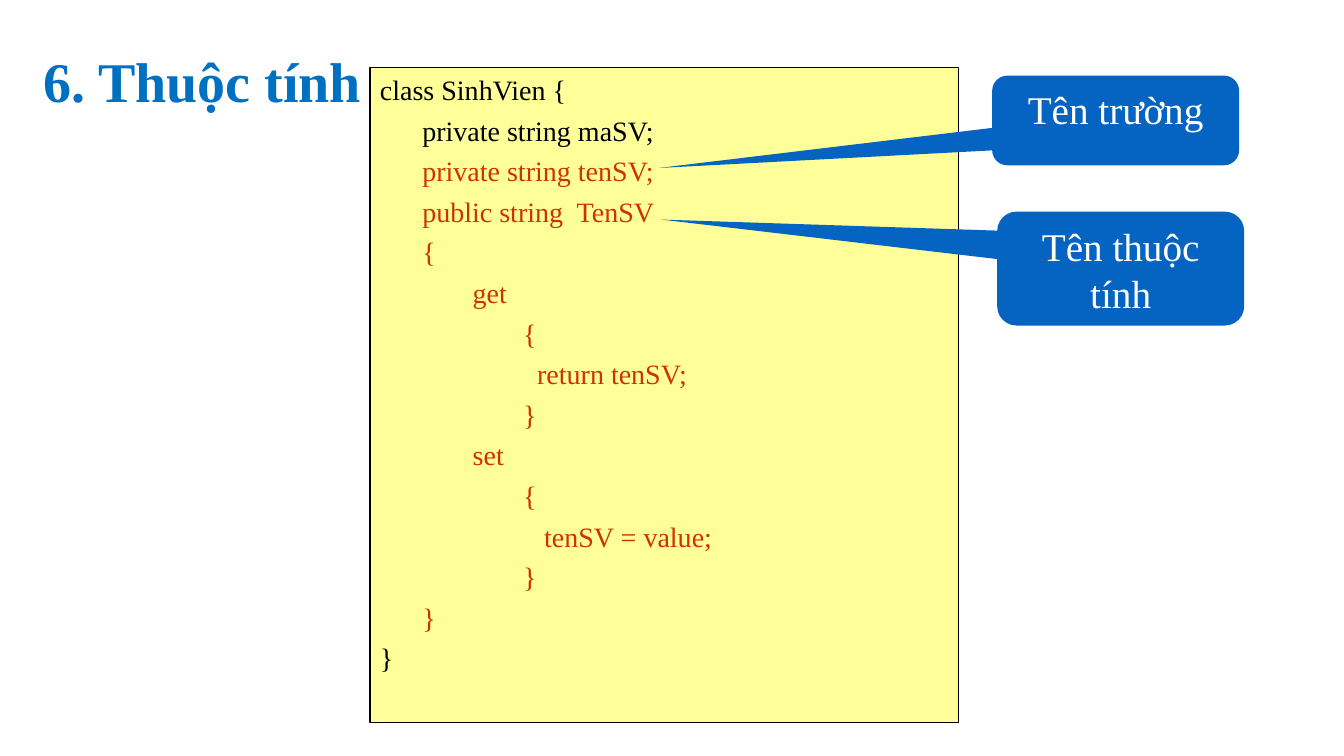
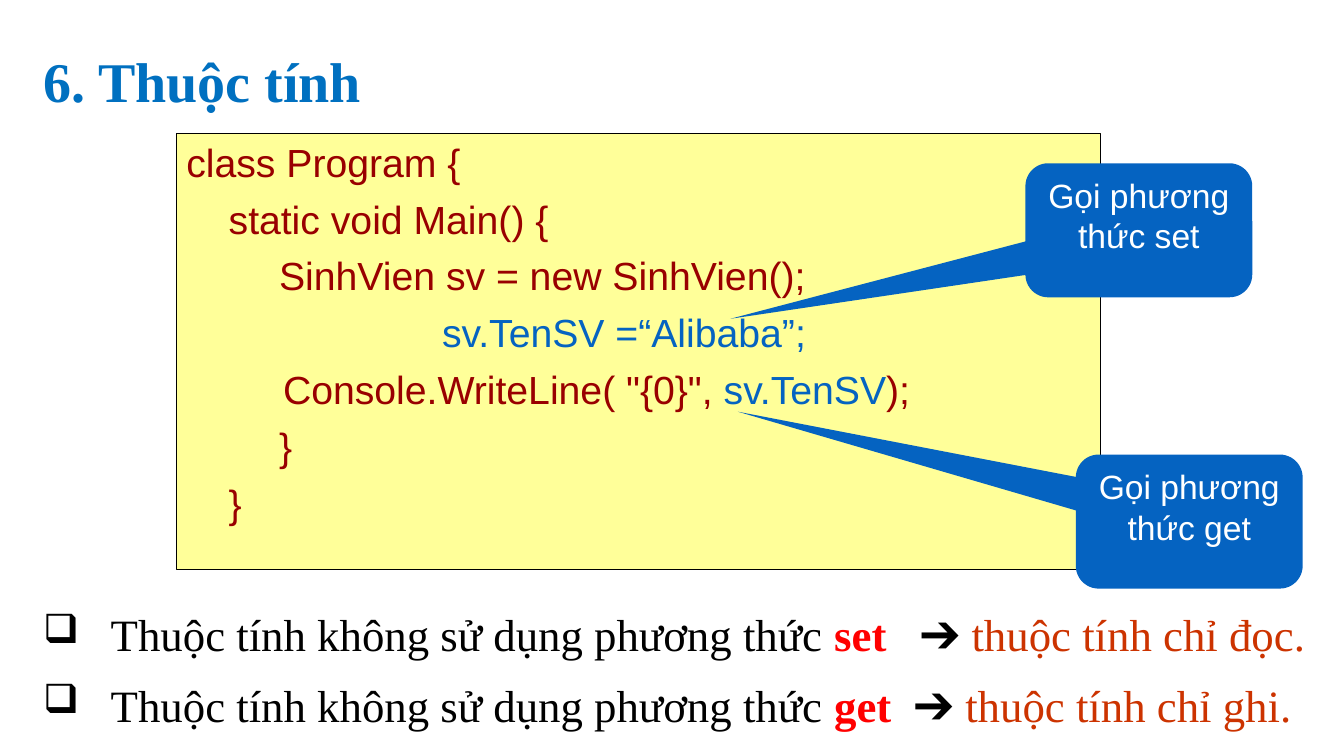
"""Builds two slides on class properties in C#."""
from lxml import etree
from pptx import Presentation
from pptx.dml.color import RGBColor
from pptx.enum.shapes import MSO_SHAPE
from pptx.enum.text import MSO_ANCHOR, PP_ALIGN
from pptx.oxml.ns import qn
from pptx.util import Inches, Pt

RECT = MSO_SHAPE.RECTANGLE
CALLOUT = MSO_SHAPE.ROUNDED_RECTANGULAR_CALLOUT
TOP, MIDDLE = MSO_ANCHOR.TOP, MSO_ANCHOR.MIDDLE
LEFT, CENTER = PP_ALIGN.LEFT, PP_ALIGN.CENTER

SERIF, SANS = "Times New Roman", "Arial"
BLACK, WHITE, RED = "000000", "FFFFFF", "FF0000"
TITLE_BLUE, BLUE = "0070C0", "0563C1"
YELLOW, RUST, MAROON = "FFFF99", "CC3300", "990000"

TITLE = "6. Thuộc tính"
FIRST_INDENT, NEXT_INDENT = 0.42, 0.5

# Each code line is its indent level followed by (text, colour) runs.
CODE_SLIDES = [
    {
        "box": (3.67, 0.67, 5.84, 6.5),
        "font": SERIF, "size": 20, "gap": 5, "callout_size": 28,
        "code": [
            (0, ("class SinhVien {", BLACK)),
            (1, ("private string maSV;", BLACK)),
            (1, ("private string tenSV;", RUST)),
            (1, ("public string  TenSV", RUST)),
            (1, ("{", RUST)),
            (2, ("get", RUST)),
            (3, ("{", RUST)),
            (3, ("  return tenSV;", RUST)),
            (3, ("}", RUST)),
            (2, ("set", RUST)),
            (3, ("{", RUST)),
            (3, ("   tenSV = value;", RUST)),
            (3, ("}", RUST)),
            (1, ("}", RUST)),
            (0, ("}", BLACK)),
        ],
        "callouts": [
            ("Tên trường", (9.84, 0.75, 2.45, 0.89), (-1.85, 0.53, 0.17)),
            ("Tên thuộc tính", (9.89, 2.1, 2.45, 1.13), (-1.86, -0.43, 0.17)),
        ],
        "notes": [],
    },
    {
        "box": (1.75, 1.32, 9.17, 4.33),
        "font": SANS, "size": 28, "gap": 7, "callout_size": 24,
        "code": [
            (0, ("class Program {", MAROON)),
            (1, ("static void Main() {", MAROON)),
            (2, ("SinhVien sv = new SinhVien();", MAROON)),
            (2, ("               sv.TenSV =“Alibaba”;", BLUE)),
            (1, ('     Console.WriteLine( "{0}", ', MAROON),
             ("sv.TenSV", BLUE), (");", MAROON)),
            (2, ("}", MAROON)),
            (1, ("}", MAROON)),
        ],
        "callouts": [
            ("Gọi phương thức set", (10.17, 1.62, 2.25, 1.33), (-1.8, 0.66, 0.17)),
            ("Gọi phương thức get", (10.67, 4.51, 2.25, 1.33), (-1.99, -0.82, 0.17)),
        ],
        "notes": [("set", 16, "thuộc tính chỉ đọc."),
                  ("get", 8, "thuộc tính chỉ ghi.")],
    },
]


def rgb(color):
    """Turns a hex string into a colour."""
    return RGBColor.from_string(color)


def add_text(p, text, *, size, font=SERIF, color=BLACK, bold=False, spacing=0):
    """Adds one formatted run to a paragraph."""
    r = p.add_run()
    r.text = text
    r.font.size, r.font.name, r.font.bold = Pt(size), font, bold
    r.font.color.rgb = rgb(color)
    if spacing:
        r.font._element.set("spc", str(spacing * 100))


def next_paragraph(tf, i, *, gap=0, align=LEFT, margin=0, hanging=0):
    """Returns paragraph i of a frame with its spacing and indents set."""
    p = tf.add_paragraph() if i else tf.paragraphs[0]
    p.alignment = align
    p.space_before = Pt(gap if i else 0)
    pPr = p._p.get_or_add_pPr()
    pPr.set("marL", str(Inches(margin)))
    pPr.set("indent", str(-Inches(hanging)))
    return p


def set_frame(sp, anchor=TOP):
    """Returns the wrapping text frame of a shape."""
    tf = sp.text_frame
    tf.word_wrap, tf.vertical_anchor = True, anchor
    return tf


def add_box(slide, kind, place, fill, line=None):
    """Adds a filled shape with an optional thin outline."""
    sp = slide.shapes.add_shape(kind, *map(Inches, place))
    sp.shadow.inherit = False
    sp.fill.solid()
    sp.fill.fore_color.rgb = rgb(fill)
    if line:
        sp.line.color.rgb = rgb(line)
        sp.line.width = Pt(0.75)
    else:
        sp.line.fill.background()
    return sp


def add_title(slide):
    """Adds the shared title."""
    place = map(Inches, (0.33, 0.58, 8.62, 0.52))
    tf = set_frame(slide.shapes.add_textbox(*place), MIDDLE)
    p = next_paragraph(tf, 0)
    p.line_spacing = 0.9
    add_text(p, TITLE, size=40, color=TITLE_BLUE, bold=True)


def add_code(slide, data):
    """Adds the code box."""
    tf = set_frame(add_box(slide, RECT, data["box"], YELLOW, BLACK))
    for i, (level, *runs) in enumerate(data["code"]):
        margin = FIRST_INDENT + NEXT_INDENT * (level - 1) if level else 0
        p = next_paragraph(tf, i, gap=data["gap"], margin=margin)
        for text, color in runs:
            add_text(p, text, size=data["size"], font=data["font"], color=color)


def add_callout(slide, text, place, adjustments, *, size, font):
    """Adds a callout that points into the code."""
    sp = add_box(slide, CALLOUT, place, BLUE)
    for i, value in enumerate(adjustments):
        sp.adjustments[i] = value
    p = next_paragraph(set_frame(sp), 0, align=CENTER)
    add_text(p, text, size=size, font=font, color=WHITE)


def add_notes(slide, notes):
    """Adds the bulleted conclusions."""
    place = map(Inches, (0.33, 5.92, 12.83, 1.42))
    tf = set_frame(slide.shapes.add_textbox(*place))
    for i, (method, spacing, result) in enumerate(notes):
        p = next_paragraph(tf, i, gap=8, margin=0.67, hanging=0.67)
        p.line_spacing = 1.1
        pPr = p._p.get_or_add_pPr()
        etree.SubElement(pPr, qn("a:buSzPct")).set("val", "90000")
        etree.SubElement(pPr, qn("a:buChar")).set("char", "❑")
        add_text(p, "Thuộc tính không sử dụng phương thức ", size=32)
        add_text(p, method, size=32, color=RED, bold=True)
        add_text(p, " ", size=32, spacing=spacing)
        add_text(p, "➔ ", size=32)
        add_text(p, result, size=32, color=RUST)


def main():
    """Builds and saves the slides."""
    prs = Presentation()
    prs.slide_width, prs.slide_height = Inches(13.33), Inches(7.5)
    for data in CODE_SLIDES:
        slide = prs.slides.add_slide(prs.slide_layouts[6])
        add_code(slide, data)
        for callout in data["callouts"]:
            add_callout(slide, *callout, size=data["callout_size"], font=data["font"])
        add_title(slide)
        if data["notes"]:
            add_notes(slide, data["notes"])
    prs.save("out.pptx")


if __name__ == "__main__":
    main()
